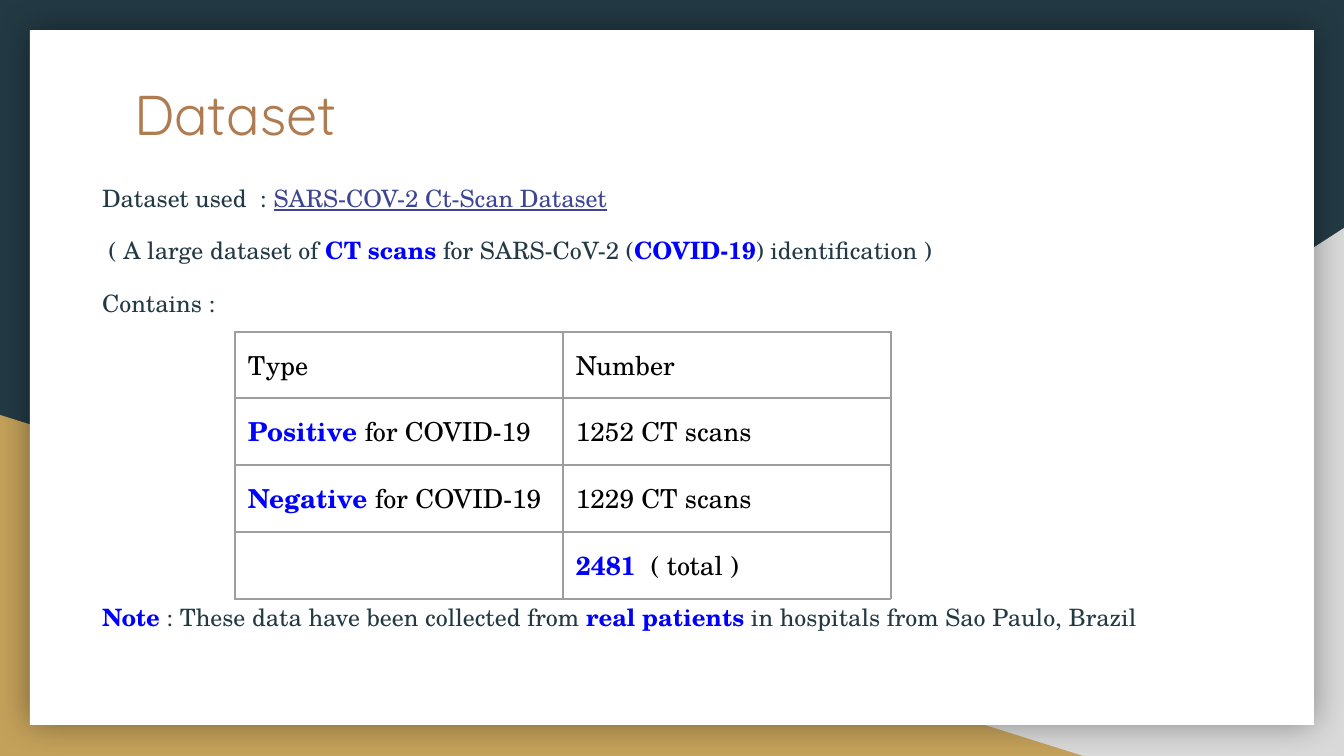
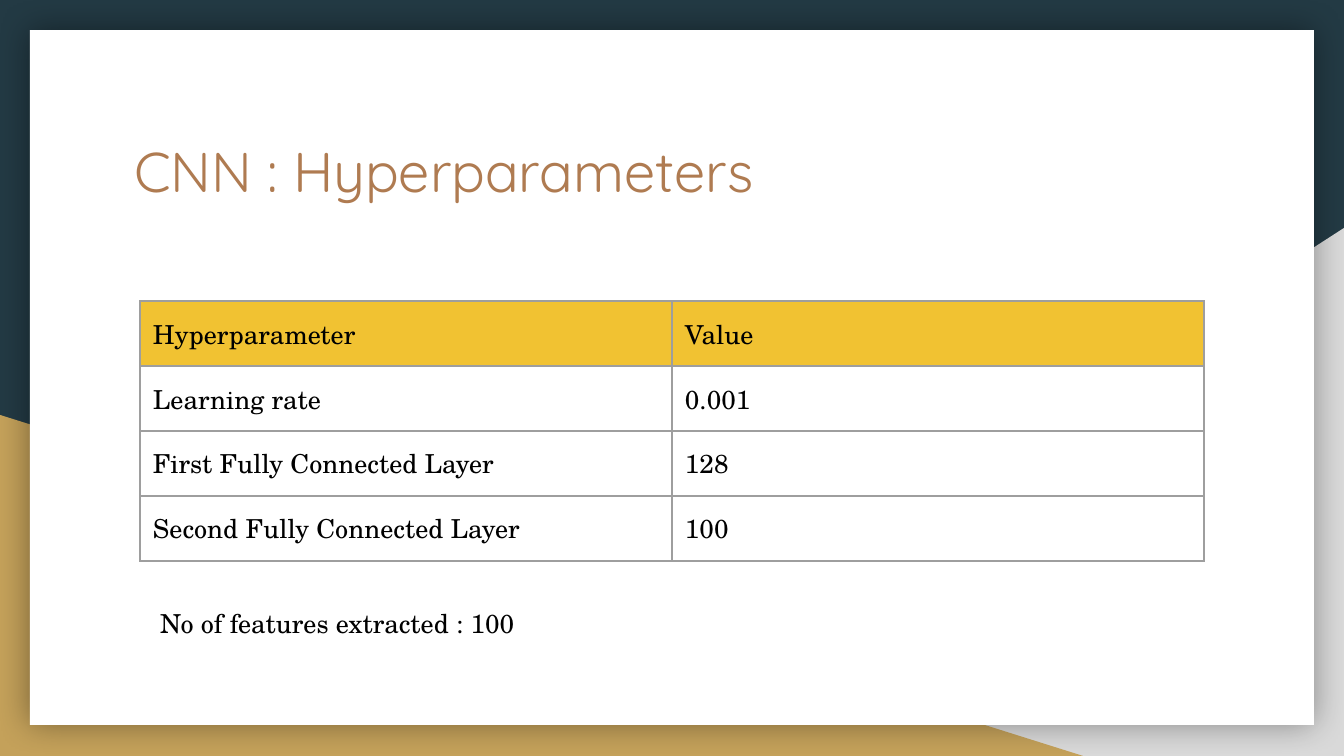
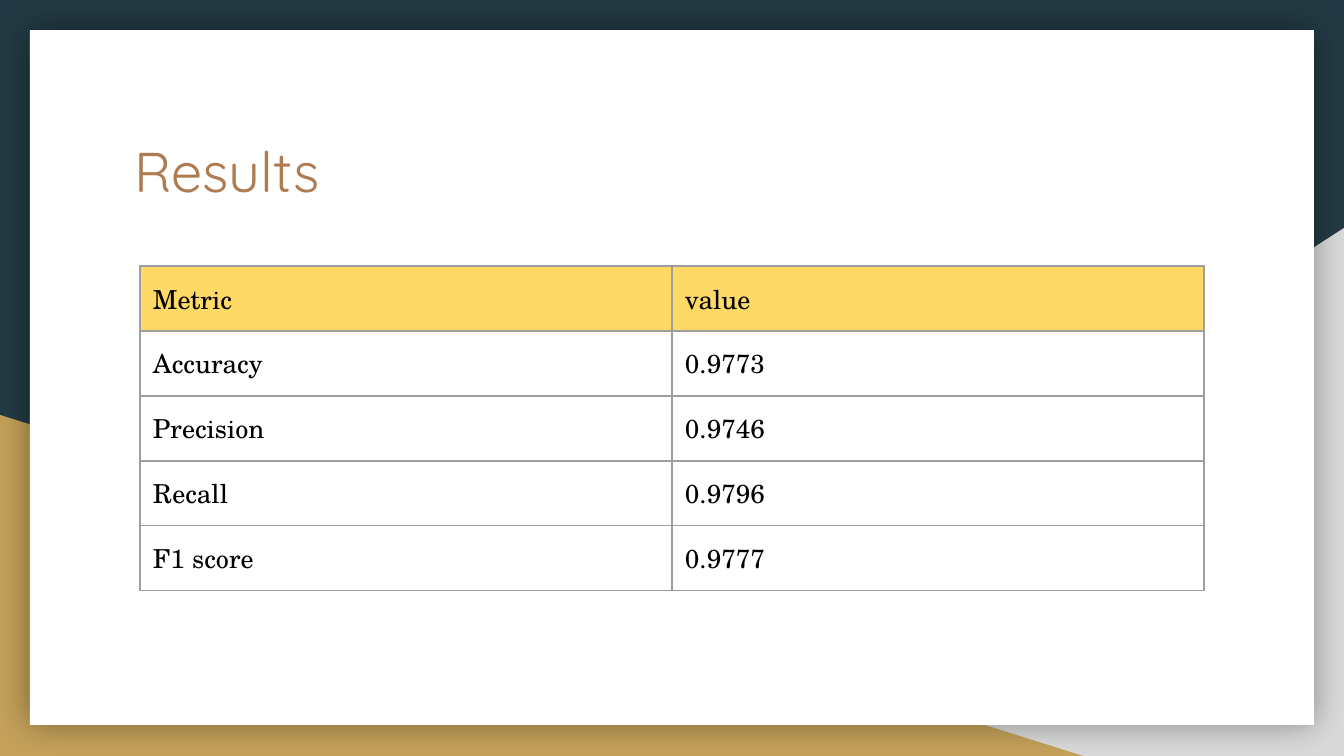
from lxml import etree
from pptx import Presentation
from pptx import util as u
from pptx.dml.color import RGBColor
from pptx.enum import shapes, text
from pptx.oxml.ns import qn

SCALE = 914400 / 134.4  # EMU per pixel
WIDTH, HEIGHT = 1344, 756
INSET = 13
TITLE_FONT, BODY_FONT = "Quicksand", "TeX Gyre Schola"
COLORS = {
    "navy": "233A44", "grey": "D9D9D9", "gold": "C4A15A", "white": "FFFFFF",
    "title": "AF7B51", "link": "3D4594", "blue": "0000FF", "black": "000000",
    "border": "9E9E9E", "amber": "F1C232", "yellow": "FFD966",
}


def px(n):
    return u.Emu(round(n * SCALE))


def rgb(name):
    return RGBColor.from_string(COLORS[name])


def strong(words):
    return words, "strong"


def link(words):
    return words, "link"


class Deck:
    """Holds the shared style and the current slide."""

    def __init__(self):
        self.prs = Presentation()
        self.prs.slide_width, self.prs.slide_height = px(WIDTH), px(HEIGHT)
        self.s = None

    def slide(self, title, title_top):
        self.s = self.prs.slides.add_slide(self.prs.slide_layouts[6])
        fill = self.s.background.fill
        fill.solid()
        fill.fore_color.rgb = rgb("navy")
        # Corner triangles behind a white card
        triangle = shapes.MSO_SHAPE.RIGHT_TRIANGLE
        right = self.shape(triangle, 527, 228, 817, 528, "grey")
        right._element.spPr.xfrm.set("flipH", "1")
        self.shape(triangle, 0, 415, 1083, 341, "gold")
        card = self.shape(shapes.MSO_SHAPE.RECTANGLE, 30, 30, 1284, 695, "white")
        self.glow(card)
        self.text(121, title_top, 1103, 140, [[title]], 30, "title", TITLE_FONT)

    def shape(self, kind, x, y, w, h, color):
        sp = self.s.shapes.add_shape(kind, px(x), px(y), px(w), px(h))
        sp.shadow.inherit = False
        sp.fill.solid()
        sp.fill.fore_color.rgb = rgb(color)
        sp.line.fill.background()
        return sp

    def glow(self, sp):
        effects = sp._element.spPr.find(qn("a:effectLst"))
        shadow = etree.SubElement(effects, qn("a:outerShdw"), blurRad=str(u.Pt(18)),
                                  dist="0", dir="0", algn="ctr", rotWithShape="0")
        color = etree.SubElement(shadow, qn("a:srgbClr"), val=COLORS["black"])
        etree.SubElement(color, qn("a:alpha"), val="40000")

    def text(self, x, y, w, h, paragraphs, size, color, font=BODY_FONT,
             line_spacing=None, gaps=()):
        sp = self.s.shapes.add_textbox(px(x), px(y), px(w), px(h))
        tf = sp.text_frame
        tf.word_wrap = True
        tf.margin_left = tf.margin_right = tf.margin_top = tf.margin_bottom = px(INSET)
        for i, runs in enumerate(paragraphs):
            p = tf.paragraphs[0] if i == 0 else tf.add_paragraph()
            self.runs(p, runs, size, color, font)
            if line_spacing:
                p.line_spacing = line_spacing
            if gaps:
                p.space_before = u.Pt(gaps[i])

    def runs(self, p, runs, size, color, font=BODY_FONT):
        p.font.size, p.font.name = u.Pt(size), font
        p.font.color.rgb = rgb(color)
        for run in runs:
            words, style = run if isinstance(run, tuple) else (run, None)
            r = p.add_run()
            r.text = words
            if style == "strong":
                r.font.bold = True
                r.font.color.rgb = rgb("blue")
            elif style == "link":
                r.font.underline = True
                r.font.color.rgb = rgb("link")

    def table(self, x, y, col_width, row_heights, rows, header=None):
        cols = len(rows[0])
        frame = self.s.shapes.add_table(len(rows), cols, px(x), px(y),
                                        px(col_width * cols), px(sum(row_heights)))
        table = frame.table
        table.first_row = table.horz_banding = False
        for col in table.columns:
            col.width = px(col_width)
        for i, row in enumerate(rows):
            table.rows[i].height = px(row_heights[i])
            for j, runs in enumerate(row):
                self.cell(table.cell(i, j), runs, header if i == 0 else None)

    def cell(self, cell, runs, color):
        cell.margin_left = cell.margin_right = px(INSET)
        cell.margin_top = cell.margin_bottom = px(INSET)
        cell.vertical_anchor = text.MSO_ANCHOR.MIDDLE
        self.runs(cell.text_frame.paragraphs[0], runs, 14, "black")
        tc_pr = cell._tc.get_or_add_tcPr()
        for side in ("lnL", "lnR", "lnT", "lnB"):
            line = etree.SubElement(tc_pr, qn("a:" + side), w=str(u.Pt(0.75)))
            fill = etree.SubElement(line, qn("a:solidFill"))
            etree.SubElement(fill, qn("a:srgbClr"), val=COLORS["border"])
        if color:
            cell.fill.solid()
            cell.fill.fore_color.rgb = rgb(color)
        else:
            cell.fill.background()


deck = Deck()

# Slide 1: dataset
deck.slide("Dataset", 67)
deck.text(89, 169, 1136, 482, [
    ["Dataset used  : ", link("SARS-COV-2 Ct-Scan Dataset")],
    [" ( A large dataset of ", strong("CT scans "), "for SARS-CoV-2 (",
     strong("COVID-19"), ") identification )"],
    ["Contains :"],
    [strong("Note"), " : These data have been collected from ",
     strong("real patients"), " in hospitals from Sao Paulo, Brazil"],
], 12.8, "navy", line_spacing=1.05, gaps=(0, 12, 12, 152))
deck.table(235, 332, 328, [66, 67, 67, 67], [
    [["Type"], ["Number"]],
    [[strong("Positive "), "for COVID-19"], ["1252 CT scans"]],
    [[strong("Negative "), "for COVID-19"], ["1229 CT scans"]],
    [[], [strong("2481 "), " ( total )"]],
])

# Slide 2: hyperparameters
deck.slide("CNN : Hyperparameters", 124)
deck.table(140, 301, 532, [65] * 4, [
    [["Hyperparameter"], ["Value"]],
    [["Learning rate"], ["0.001"]],
    [["First Fully Connected Layer"], ["128"]],
    [["Second Fully Connected Layer"], ["100"]],
], header="amber")
deck.text(147, 594, 517, 59, [["No of features extracted : 100"]], 14, "black")

# Slide 3: results
deck.slide("Results", 124)
deck.table(140, 266, 532, [65] * 5, [
    [["Metric"], ["value"]],
    [["Accuracy"], ["0.9773"]],
    [["Precision"], ["0.9746"]],
    [["Recall"], ["0.9796"]],
    [["F1 score"], ["0.9777"]],
], header="yellow")

deck.prs.save("out.pptx")
